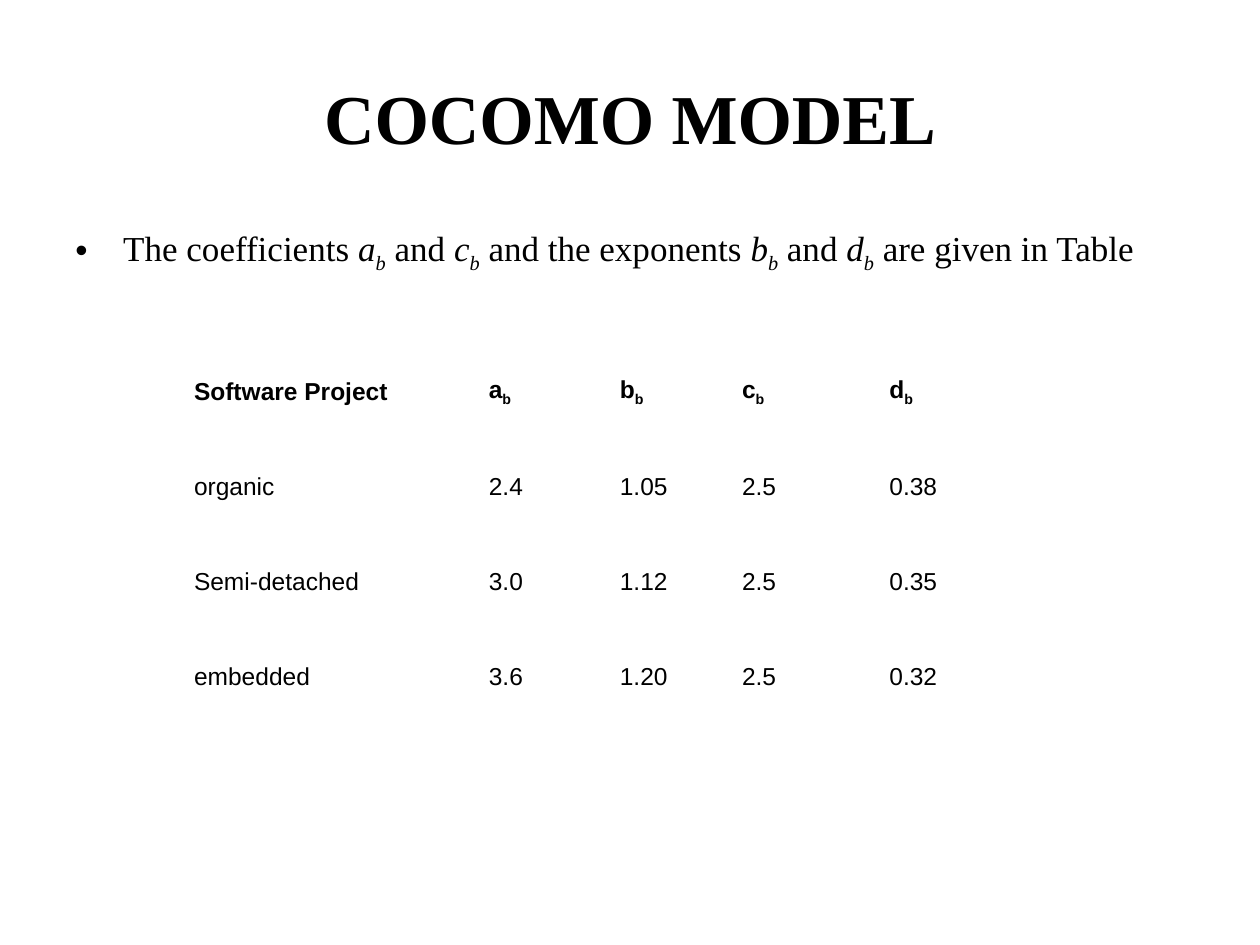
"""Build the COCOMO model slide with its table of coefficients."""
from lxml.etree import SubElement
from pptx import Presentation
from pptx.dml.color import RGBColor
from pptx.enum.text import MSO_ANCHOR, PP_ALIGN
from pptx.oxml.ns import qn
from pptx.util import Inches, Pt

BLACK = RGBColor(0, 0, 0)
SERIF = "Times New Roman"
SANS = "Arial"


def add_run(paragraph, text, font_name, size, bold=False, italic=False, subscript=False):
    run = paragraph.add_run()
    run.text = text
    run.font.name = font_name
    run.font.size = Pt(size)
    run.font.bold = bold
    run.font.italic = italic
    run.font.color.rgb = BLACK
    if subscript:
        run.font._element.set("baseline", "-25000")


presentation = Presentation()
presentation.slide_width = Inches(10)
presentation.slide_height = Inches(7.5)
slide = presentation.slides.add_slide(presentation.slide_layouts[5])

title = slide.shapes.title
title.left, title.top = Inches(0.5), Inches(0.3)
title.width, title.height = Inches(9), Inches(1.25)
title.text_frame.vertical_anchor = MSO_ANCHOR.MIDDLE
title_paragraph = title.text_frame.paragraphs[0]
title_paragraph.alignment = PP_ALIGN.CENTER
add_run(title_paragraph, "COCOMO MODEL", SERIF, 40, bold=True)

body = slide.shapes.add_textbox(Inches(0.5), Inches(1.75), Inches(9), Inches(4.95))
body.text_frame.word_wrap = True
body_paragraph = body.text_frame.paragraphs[0]
body_paragraph.space_before = Pt(4)
properties = body_paragraph._p.get_or_add_pPr()
properties.set("marL", str(Inches(0.38)))
properties.set("indent", str(-Inches(0.38)))
SubElement(properties, qn("a:buFont"), typeface=SANS)
SubElement(properties, qn("a:buChar"), char="•")

phrases = [
    ("The coefficients ", "a"),
    (" and ", "c"),
    (" and the exponents ", "b"),
    (" and ", "d"),
]
for phrase, symbol in phrases:
    add_run(body_paragraph, phrase, SERIF, 20)
    add_run(body_paragraph, symbol, SERIF, 20, italic=True)
    add_run(body_paragraph, "b", SERIF, 20, italic=True, subscript=True)
add_run(body_paragraph, " are given in Table", SERIF, 20)

rows = [
    ("Software Project", "a", "b", "c", "d"),
    ("organic", "2.4", "1.05", "2.5", "0.38"),
    ("Semi-detached", "3.0", "1.12", "2.5", "0.35"),
    ("embedded", "3.6", "1.20", "2.5", "0.32"),
]
column_widths = [2.34, 1.04, 0.97, 1.17, 0.97]
table = slide.shapes.add_table(
    len(rows), len(column_widths), Inches(1.5), Inches(2.73), Inches(6.5), Inches(3.02)
).table
table.first_row = False
table.horz_banding = False
for column, width in zip(table.columns, column_widths):
    column.width = Inches(width)

for row_index, values in enumerate(rows):
    is_header = row_index == 0
    for column_index, value in enumerate(values):
        cell = table.cell(row_index, column_index)
        cell.fill.background()
        cell.vertical_anchor = MSO_ANCHOR.MIDDLE
        cell.margin_left = cell.margin_right = Inches(0.04)
        cell.margin_top = cell.margin_bottom = Inches(0.04)
        cell_paragraph = cell.text_frame.paragraphs[0]
        add_run(cell_paragraph, value, SANS, 14, bold=is_header)
        if is_header and column_index > 0:
            add_run(cell_paragraph, "b", SANS, 14, bold=True, subscript=True)

presentation.save("out.pptx")
